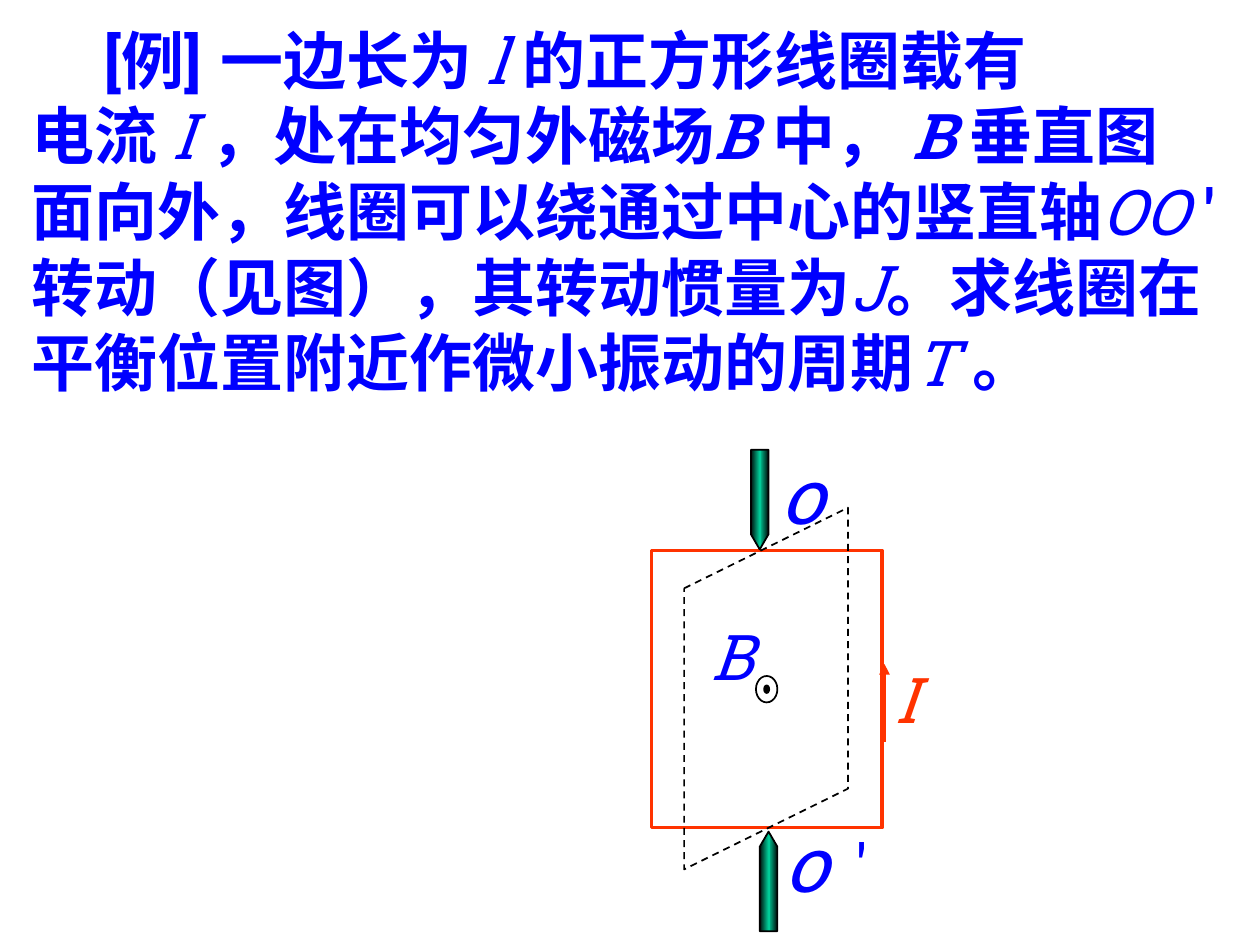
from copy import deepcopy

from lxml import etree
from pptx import Presentation
from pptx.dml.color import RGBColor
from pptx.enum.dml import MSO_LINE
from pptx.enum.shapes import MSO_CONNECTOR, MSO_SHAPE
from pptx.enum.text import MSO_AUTO_SIZE
from pptx.oxml.ns import qn
from pptx.util import Inches, Pt

RECTANGLE, ELLIPSE = MSO_SHAPE.RECTANGLE, MSO_SHAPE.OVAL
STRAIGHT, DASH = MSO_CONNECTOR.STRAIGHT, MSO_LINE.DASH
FIT_SHAPE = MSO_AUTO_SIZE.SHAPE_TO_FIT_TEXT

FONT = "Roboto Slab"
BLUE, RED, BLACK = "0000FF", "FF3300", "000000"
PIN_STOPS = [(0, "000D0A"), (0.5, "00CC99"), (1, "000D0A")]

BOLD = {"bold": True, "italic": False}
ITALIC = {"bold": False, "italic": True}
BOLD_ITALIC = {"bold": True, "italic": True}

PROBLEM = [
    [("[例]\t一边长为 ", BOLD), ("l ", ITALIC), ("的正方形线圈载有", BOLD)],
    [("电流 ", BOLD), ("I ", ITALIC), ("，处在均匀外磁场", BOLD), ("B ", BOLD_ITALIC),
     ("中， ", BOLD), ("B ", BOLD_ITALIC), ("垂直图", BOLD)],
    [("面向外，线圈可以绕通过中心的竖直轴", BOLD), ("OO", ITALIC), (" ′", BOLD)],
    [("转动（见图），其转动惯量为", BOLD), ("J", ITALIC), ("。求线圈在", BOLD)],
    [("平衡位置附近作微小振动的周期", BOLD), ("T ", ITALIC), ("。", BOLD)],
]
PROBLEM_BOX = (0.25, 0.17, 9.82, 3)
FIRST_INDENT, STATEMENT_TAB = 0.57, 2.36

# text, box, size, colour, format
LABELS = [
    ("B", (5.55, 4.85, 0.56, 0.7), 36, BLUE, ITALIC),
    ("I", (7, 5.19, 0.4, 0.7), 36, RED, ITALIC),
    ("o", (6.13, 6.42, 0.53, 0.83), 44, BLUE, ITALIC),
    ("o", (6.1, 3.5, 0.53, 0.83), 44, BLUE, ITALIC),
    ("′", (6.68, 6.52, 0.31, 0.7), 36, BLUE, {"bold": False, "italic": False}),
]

COIL = (5.17, 4.37, 1.83, 2.2)
TURNED_LEFT, TURNED_RIGHT = 5.43, 6.73
TURNED_TOP, TURNED_HEIGHT, TURNED_RISE = 4.03, 2.23, 0.64
FIELD_RING, FIELD_DOT = (0.17, 0.21), (0.04, 0.06)
PINS = [((6.03, 4.36), -1), ((6.1, 6.6), 1)]  # tip, direction of the shaft
PIN_WIDTH, PIN_LENGTH, PIN_POINT = 0.14, 0.79, 0.12
CURRENT_X, CURRENT_TOP, CURRENT_BOTTOM = 7.02, 5.27, 5.89


def rgb(value):
    return RGBColor.from_string(value)


def set_line(shape, color, width):
    shape.line.color.rgb = rgb(color)
    shape.line.width = Pt(width)


def add_run(paragraph, text, size, color, style):
    run = paragraph.add_run()
    run.text = text
    run.font.color.rgb = rgb(color)
    for key, value in {"name": FONT, "size": Pt(size), **style}.items():
        setattr(run.font, key, value)


def add_text_box(shapes, box, margins=None):
    frame = shapes.add_textbox(*map(Inches, box)).text_frame
    frame.word_wrap = False
    frame.auto_size = FIT_SHAPE
    for side in ("left", "right", "top", "bottom"):
        if margins is not None:
            setattr(frame, "margin_" + side, Inches(margins))
    return frame


def add_outline(shapes, kind, box, color, width, fill=None):
    shape = shapes.add_shape(kind, *map(Inches, box))
    shape.shadow.inherit = False
    set_line(shape, color, width)
    if fill:
        shape.fill.solid()
        shape.fill.fore_color.rgb = rgb(fill)
    else:
        shape.fill.background()
    return shape


def add_polygon(shapes, points):
    start, *others = [(Inches(x), Inches(y)) for x, y in points]
    builder = shapes.build_freeform(*start)
    builder.add_line_segments(others, close=True)
    shape = builder.convert_to_shape()
    shape.shadow.inherit = False
    set_line(shape, BLACK, 1)
    return shape


def add_pin(shapes, tip, direction):
    x, y = tip
    left, right = x - PIN_WIDTH / 2, x + PIN_WIDTH / 2
    shoulder, end = y + direction * PIN_POINT, y + direction * PIN_LENGTH
    pin = add_polygon(shapes, [(left, end), (left, shoulder), tip,
                               (right, shoulder), (right, end)])
    pin.fill.gradient()
    pin.fill.gradient_angle = 0
    stop_list = pin._element.spPr.find(".//" + qn("a:gsLst"))
    stop_list.append(deepcopy(stop_list[0]))
    for stop, (position, color) in zip(pin.fill.gradient_stops, PIN_STOPS):
        stop.position = position
        stop.color.rgb = rgb(color)


def centred(size):
    left, top, width, height = COIL
    return (left + (width - size[0]) / 2, top + (height - size[1]) / 2, *size)


def add_problem(slide):
    frame = add_text_box(slide.shapes, PROBLEM_BOX, margins=0)
    for number, parts in enumerate(PROBLEM):
        paragraph = frame.add_paragraph() if number else frame.paragraphs[0]
        if number == 0:
            properties = paragraph._p.get_or_add_pPr()
            properties.set("marL", "0")
            properties.set("indent", str(Inches(FIRST_INDENT)))
            tabs = etree.SubElement(properties, qn("a:tabLst"))
            etree.SubElement(tabs, qn("a:tab"), pos=str(Inches(STATEMENT_TAB)), algn="l")
        for text, style in parts:
            add_run(paragraph, text, 36, BLUE, style)


def add_current_arrow(shapes):
    arrow = shapes.add_connector(STRAIGHT, *map(
        Inches, (CURRENT_X, CURRENT_BOTTOM, CURRENT_X, CURRENT_TOP)))
    set_line(arrow, RED, 2)
    etree.SubElement(arrow.line._get_or_add_ln(), qn("a:tailEnd"), type="triangle")
    etree.SubElement(arrow._element.spPr, qn("a:effectLst"))


def add_diagram(slide):
    shapes = slide.shapes.add_group_shape().shapes
    add_outline(shapes, RECTANGLE, COIL, RED, 2)

    left_top = TURNED_TOP + TURNED_RISE
    turned_coil = add_polygon(shapes, [
        (TURNED_LEFT, left_top), (TURNED_RIGHT, TURNED_TOP),
        (TURNED_RIGHT, TURNED_TOP + TURNED_HEIGHT), (TURNED_LEFT, left_top + TURNED_HEIGHT)])
    turned_coil.fill.background()
    turned_coil.line.dash_style = DASH

    add_outline(shapes, ELLIPSE, centred(FIELD_RING), BLACK, 1)
    for tip, direction in PINS:
        add_pin(shapes, tip, direction)
    add_outline(shapes, ELLIPSE, centred(FIELD_DOT), BLACK, 1, fill=BLACK)
    add_current_arrow(shapes)
    for text, box, size, color, style in LABELS:
        frame = add_text_box(shapes, box)
        add_run(frame.paragraphs[0], text, size, color, style)


def main():
    deck = Presentation()
    deck.slide_width, deck.slide_height = Inches(10), Inches(7.5)
    slide = deck.slides.add_slide(deck.slide_layouts[6])
    add_problem(slide)
    add_diagram(slide)
    deck.save("out.pptx")


if __name__ == "__main__":
    main()
